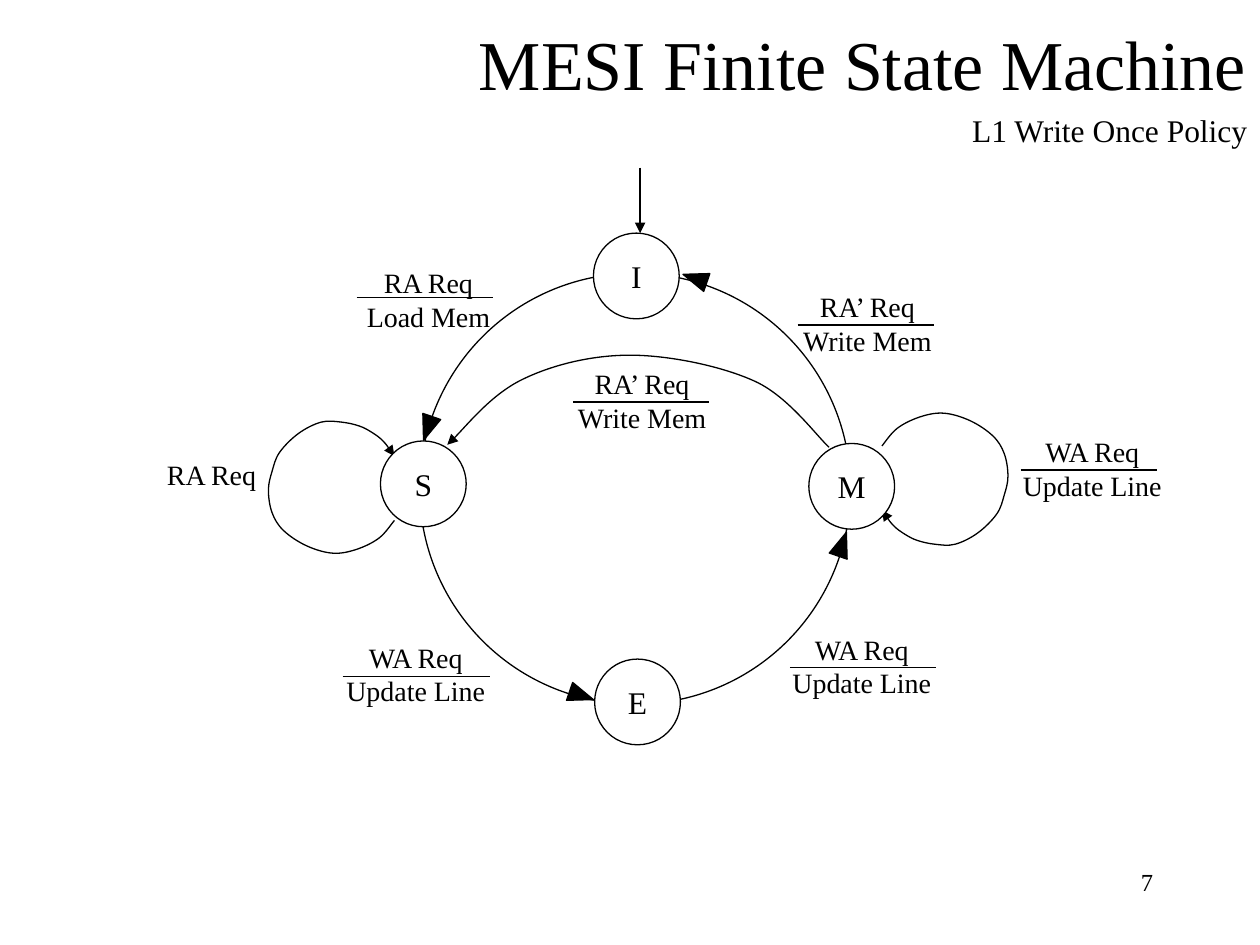
from dataclasses import dataclass

from lxml import etree
from pptx import Presentation
from pptx.dml.color import RGBColor
from pptx.enum.shapes import MSO_CONNECTOR, MSO_SHAPE
from pptx.enum.text import MSO_ANCHOR, MSO_AUTO_SIZE, PP_ALIGN
from pptx.oxml.ns import qn
from pptx.util import Pt

OVAL = MSO_SHAPE.OVAL
STRAIGHT = MSO_CONNECTOR.STRAIGHT
MIDDLE = MSO_ANCHOR.MIDDLE
TOP = MSO_ANCHOR.TOP
GROW = MSO_AUTO_SIZE.SHAPE_TO_FIT_TEXT
FIXED = MSO_AUTO_SIZE.NONE
CENTER = PP_ALIGN.CENTER
RIGHT = PP_ALIGN.RIGHT

COLORS = {"ink": "000000", "paper": "FFFFFF"}
FONT = "Times New Roman"
LINE_WIDTH = 0.75
STATE_SIZE = 49
HEAD_WIDTH, HEAD_LENGTH = 10.8, 14.4
LABEL_HEIGHT = 46

Point = tuple[float, float]


@dataclass
class State:
    name: str
    left: float
    top: float


@dataclass
class Transition:
    request: str
    action: str
    left: float
    top: float
    width: float
    rule_start: float
    rule_end: float
    rule_y: float


@dataclass
class RingHead:
    center_x: float
    center_y: float
    rotation: float
    points_down: bool


STATES = [
    State("I", 339.1, 133.2),
    State("S", 217.4, 252),
    State("E", 339.8, 376.6),
    State("M", 462.2, 253.4),
]
TRANSITIONS = [
    Transition("RA Req", "Load Mem", 202.3, 148.3, 85, 203.8, 281.5, 169.9),
    Transition("WA Req", "Update Line", 190.8, 362.2, 93.6, 195.8, 280.1, 386.6),
    Transition("WA Req", "Update Line", 445.7, 357.8, 93.6, 451.4, 535, 381.6),
    Transition("WA Req", "Update Line", 577.4, 244.8, 93.6, 583.2, 661, 268.6),
    Transition("RA’ Req", "Write Mem", 451.4, 162, 88.6, 455.8, 533.5, 185.8),
    Transition("RA’ Req", "Write Mem", 322.6, 205.9, 88.6, 327.6, 405.4, 229.7),
]
RING_HEADS = [
    RingHead(244.4, 244.8, 19, True),
    RingHead(332.3, 397.4, 289, True),
    RingHead(481.3, 311, 19, False),
    RingHead(397.1, 159.1, 289, False),
]
S_LOOP = [
    (225.4, 297.4), (216.7, 307.4), (203.8, 313.9), (190.1, 316.1),
    (175, 311.8), (162, 303.1), (155.5, 293), (153.4, 280.1),
    (155.5, 269.3), (159.8, 258.5), (170.6, 247.7), (183.6, 241.2),
    (195.1, 241.2), (205.2, 243.4), (212.4, 247), (218.9, 252),
    (225.4, 260.6),
]
M_LOOP = [(729.4 - x, 552.2 - y) for x, y in S_LOOP]
M_TO_S = [(473.8, 255.6), (432, 218.2), (361.4, 203), (298.8, 216.7), (255.6, 254.2)]


def color(key: str) -> RGBColor:
    return RGBColor.from_string(COLORS[key])


def outline(shape) -> None:
    shape.line.color.rgb = color("ink")
    shape.line.width = Pt(LINE_WIDTH)


def add_arrowhead(shape) -> None:
    ln = shape.element.spPr.find(qn("a:ln"))
    etree.SubElement(ln, qn("a:tailEnd"), type="triangle")


def write(shape, text: str, size: float, align, anchor=TOP, wrap=False, fit=FIXED) -> None:
    frame = shape.text_frame
    frame.text = text
    frame.word_wrap = wrap
    frame.auto_size = fit
    frame.vertical_anchor = anchor
    for paragraph in frame.paragraphs:
        paragraph.alignment = align
        for run in paragraph.runs:
            run.font.name = FONT
            run.font.size = Pt(size)
            run.font.color.rgb = color("ink")


def add_label(slide, text: str, left: float, top: float, width: float, height: float,
              size: float = 16, align=CENTER) -> None:
    label = slide.shapes.add_textbox(Pt(left), Pt(top), Pt(width), Pt(height))
    write(label, text, size, align, fit=GROW)


def add_line(slide, start: Point, end: Point, arrow: bool = False) -> None:
    line = slide.shapes.add_connector(STRAIGHT, *map(Pt, start + end))
    outline(line)
    if arrow:
        add_arrowhead(line)
    etree.SubElement(line.element.spPr, qn("a:effectLst"))


def add_circle(slide, left: float, top: float, size: float):
    circle = slide.shapes.add_shape(OVAL, Pt(left), Pt(top), Pt(size), Pt(size))
    circle.shadow.inherit = False
    circle.fill.background()
    outline(circle)
    return circle


def add_freeform(slide, points: list[Point], close: bool):
    start, *rest = [(Pt(x), Pt(y)) for x, y in points]
    builder = slide.shapes.build_freeform(*start)
    builder.add_line_segments(rest, close=close)
    freeform = builder.convert_to_shape()
    freeform.shadow.inherit = False
    outline(freeform)
    return freeform


def spline(anchors: list[Point]) -> list[Point]:
    padded = [anchors[0], *anchors, anchors[-1]]
    points = [anchors[0]]
    for (ax, ay), (bx, by), (cx, cy), (dx, dy) in zip(padded, padded[1:], padded[2:], padded[3:]):
        points += [
            (bx + (cx - ax) / 6, by + (cy - ay) / 6),
            (cx - (dx - bx) / 6, cy - (dy - by) / 6),
            (cx, cy),
        ]
    return points


def add_curved_arrow(slide, anchors: list[Point]) -> None:
    curve = add_freeform(slide, spline(anchors), close=False)
    curve.fill.background()
    segments = list(curve.element.iter(qn("a:lnTo")))
    for first in range(0, len(segments), 3):
        bezier = etree.Element(qn("a:cubicBezTo"))
        segments[first].addprevious(bezier)
        for segment in segments[first:first + 3]:
            bezier.append(segment[0])
            segment.getparent().remove(segment)
    add_arrowhead(curve)


def add_transition(slide, item: Transition) -> None:
    add_label(slide, f"{item.request}\n{item.action}", item.left, item.top, item.width, LABEL_HEIGHT)
    add_line(slide, (item.rule_start, item.rule_y), (item.rule_end, item.rule_y))


def add_state(slide, state: State) -> None:
    circle = add_circle(slide, state.left, state.top, STATE_SIZE)
    circle.fill.solid()
    circle.fill.fore_color.rgb = color("paper")
    write(circle, state.name, 18, CENTER, MIDDLE)


def add_ring_head(slide, head: RingHead) -> None:
    reach = HEAD_LENGTH / 2 if head.points_down else -HEAD_LENGTH / 2
    base_y = head.center_y - reach
    triangle = add_freeform(slide, [
        (head.center_x, head.center_y + reach),
        (head.center_x + HEAD_WIDTH / 2, base_y),
        (head.center_x - HEAD_WIDTH / 2, base_y),
    ], close=True)
    triangle.fill.solid()
    triangle.fill.fore_color.rgb = color("ink")
    triangle.rotation = head.rotation


def main() -> None:
    deck = Presentation()
    deck.slide_width, deck.slide_height = Pt(720), Pt(540)
    slide = deck.slides.add_slide(deck.slide_layouts[5])

    title = slide.shapes.title
    title.left, title.top, title.width, title.height = Pt(107.3), Pt(0), Pt(612), Pt(72)
    write(title, "MESI Finite State Machine", 40, RIGHT, MIDDLE, wrap=True)
    add_label(slide, "L1 Write Once Policy", 547.2, 59.8, 172.8, 28.8, 18, RIGHT)
    page_number = slide.shapes.add_textbox(Pt(516.2), Pt(491.8), Pt(149.8), Pt(36))
    write(page_number, "7", 14, RIGHT, wrap=True)

    add_line(slide, (365.8, 95.8), (365.8, 133.2), arrow=True)
    add_label(slide, "RA Req", 87.8, 257.8, 66.2, 26.6)
    for transition in TRANSITIONS:
        add_transition(slide, transition)
    for loop in (S_LOOP, M_LOOP):
        add_curved_arrow(slide, loop)
    add_circle(slide, 239.8, 156.2, 246.2)
    for state in STATES:
        add_state(slide, state)
    for head in RING_HEADS:
        add_ring_head(slide, head)
    add_curved_arrow(slide, M_TO_S)

    deck.save("out.pptx")


if __name__ == "__main__":
    main()
